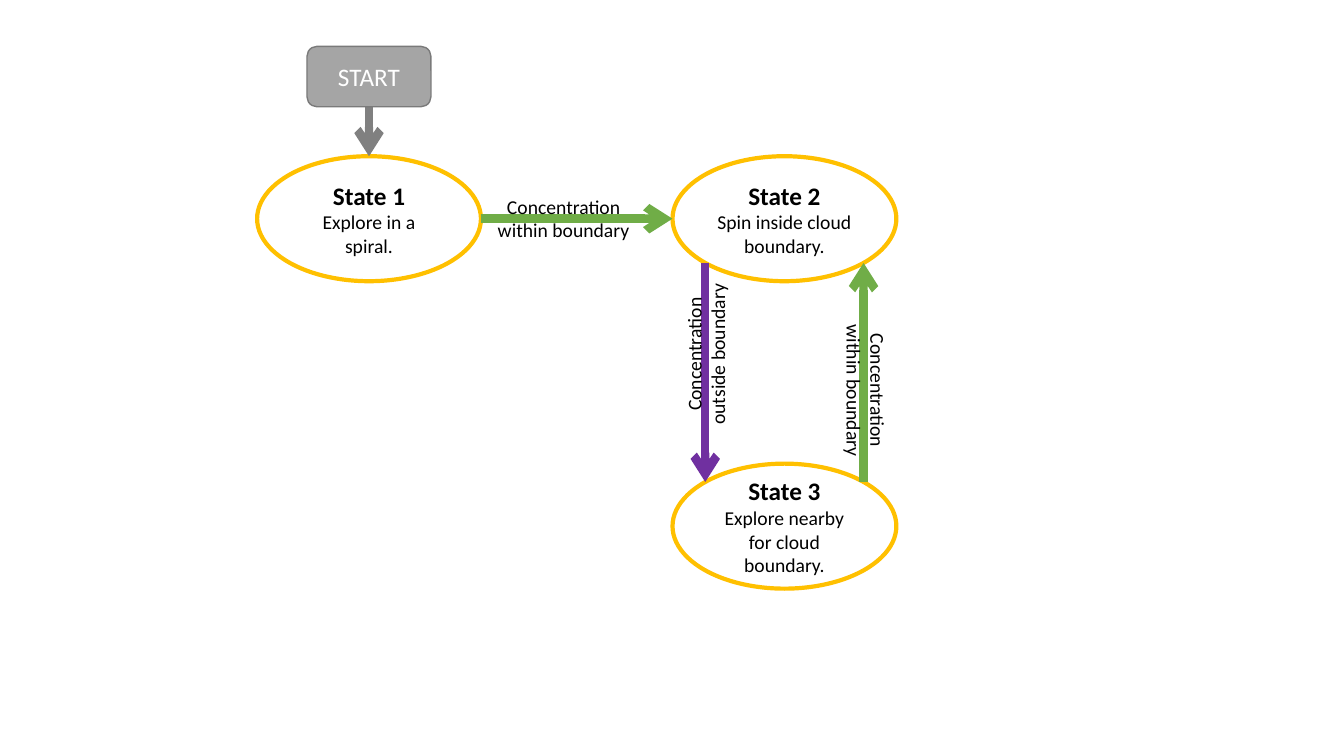
import math
from dataclasses import dataclass

from lxml import etree
from pptx import Presentation
from pptx import util as u
from pptx.dml.color import RGBColor
from pptx.enum import shapes, text
from pptx.oxml.ns import qn


@dataclass(frozen=True)
class Theme:
    """Colours, font and type sizes of the diagram."""
    font: str = "Calibri"
    ink: str = "000000"
    white: str = "FFFFFF"
    state: str = "FFC000"
    inside: str = "70AD47"
    outside: str = "7030A0"
    start_fill: str = "A5A5A5"
    start_line: str = "7A7A7A"
    start_arrow: str = "808080"
    heading: int = 18
    body: int = 14


T = Theme()


def rgb(value):
    """Turn a hex string into a colour."""
    return RGBColor.from_string(value)


def write(p, words, size=T.body, color=T.ink, bold=False):
    """Put one centred, formatted run in a paragraph."""
    p.alignment = text.PP_ALIGN.CENTER
    r = p.add_run()
    r.text = words
    r.font.name, r.font.size, r.font.bold = T.font, u.Pt(size), bold
    r.font.color.rgb = rgb(color)


def add_node(s, kind, box, line, width, fill=None):
    """Draw an outlined shape in the box and return it."""
    sp = s.shapes.add_shape(kind, *map(u.Inches, box))
    sp.shadow.inherit = False
    if fill:
        sp.fill.solid()
        sp.fill.fore_color.rgb = rgb(fill)
    else:
        sp.fill.background()
    sp.line.color.rgb = rgb(line)
    sp.line.width = u.Pt(width)
    sp.text_frame.word_wrap = True
    sp.text_frame.vertical_anchor = text.MSO_ANCHOR.MIDDLE
    return sp


def add_state(s, box, name, action):
    """Draw a state ellipse with its name and action."""
    tf = add_node(s, shapes.MSO_SHAPE.OVAL, box, T.state, 3).text_frame
    write(tf.paragraphs[0], name, size=T.heading, bold=True)
    write(tf.add_paragraph(), action)


def add_start(s, box):
    """Draw the start button."""
    sp = add_node(s, shapes.MSO_SHAPE.ROUNDED_RECTANGLE, box,
                  T.start_line, 1, fill=T.start_fill)
    write(sp.text_frame.paragraphs[0], "START", size=T.heading, color=T.white)


def add_arrow(s, start, end, color):
    """Draw a thick straight arrow between two points."""
    cx = s.shapes.add_connector(shapes.MSO_CONNECTOR.STRAIGHT,
                                *map(u.Inches, (*start, *end)))
    cx.line.color.rgb = rgb(color)
    cx.line.width = u.Pt(6)
    etree.SubElement(cx.line._get_or_add_ln(), qn("a:tailEnd"), type="arrow")
    etree.SubElement(cx._element.spPr, qn("a:effectLst"))


def add_label(s, box, words, rotation=0):
    """Write the condition of a transition."""
    sp = s.shapes.add_textbox(*map(u.Inches, box))
    sp.rotation = rotation
    tf = sp.text_frame
    tf.word_wrap = True
    tf.auto_size = text.MSO_AUTO_SIZE.SHAPE_TO_FIT_TEXT
    write(tf.paragraphs[0], words)


def rim(box, degrees):
    """Return the point of an ellipse at an angle, clockwise from the right."""
    x, y, w, h = box
    a = math.radians(degrees)
    return x + w / 2 * (1 + math.cos(a)), y + h / 2 * (1 + math.sin(a))


def state_diagram(s, box):
    """Lay out the states, transitions and labels in the box."""
    x, y, w, h = box
    state_w, state_h = 2.22, 1.24
    start_w, start_h = 1.23, 0.6
    right, upper, lower = x + w - state_w, y + 1.09, y + h - state_h
    state_1 = (x, upper, state_w, state_h)
    state_2 = (right, upper, state_w, state_h)
    state_3 = (right, lower, state_w, state_h)
    start = (x + (state_w - start_w) / 2, y, start_w, start_h)
    within = "Concentration within boundary"

    add_state(s, state_1, "State 1", "Explore in a spiral.")
    add_state(s, state_2, "State 2", "Spin inside cloud boundary.")
    add_state(s, state_3, "State 3", "Explore nearby for cloud boundary.")

    add_arrow(s, rim(state_1, 0), rim(state_2, 180), T.inside)
    add_label(s, (x + 2.24, y + 1.42, 1.6, 0.57), within)
    top = rim(state_1, 270)
    add_arrow(s, (top[0], y + start_h), top, T.start_arrow)
    add_start(s, start)
    add_arrow(s, rim(state_2, 135), rim(state_3, 225), T.outside)
    add_arrow(s, rim(state_3, 315), rim(state_2, 45), T.inside)
    add_label(s, (x + 3.52, y + 2.77, 1.86, 0.57),
              "Concentration outside boundary", rotation=270)
    add_label(s, (x + 5.24, y + 3.13, 1.6, 0.57), within, rotation=90)


prs = Presentation()
prs.slide_width, prs.slide_height = u.Inches(13.33), u.Inches(7.5)
blank = prs.slide_layouts[6]
state_diagram(prs.slides.add_slide(blank), (2.55, 0.46, 6.34, 5.38))
prs.save("out.pptx")
